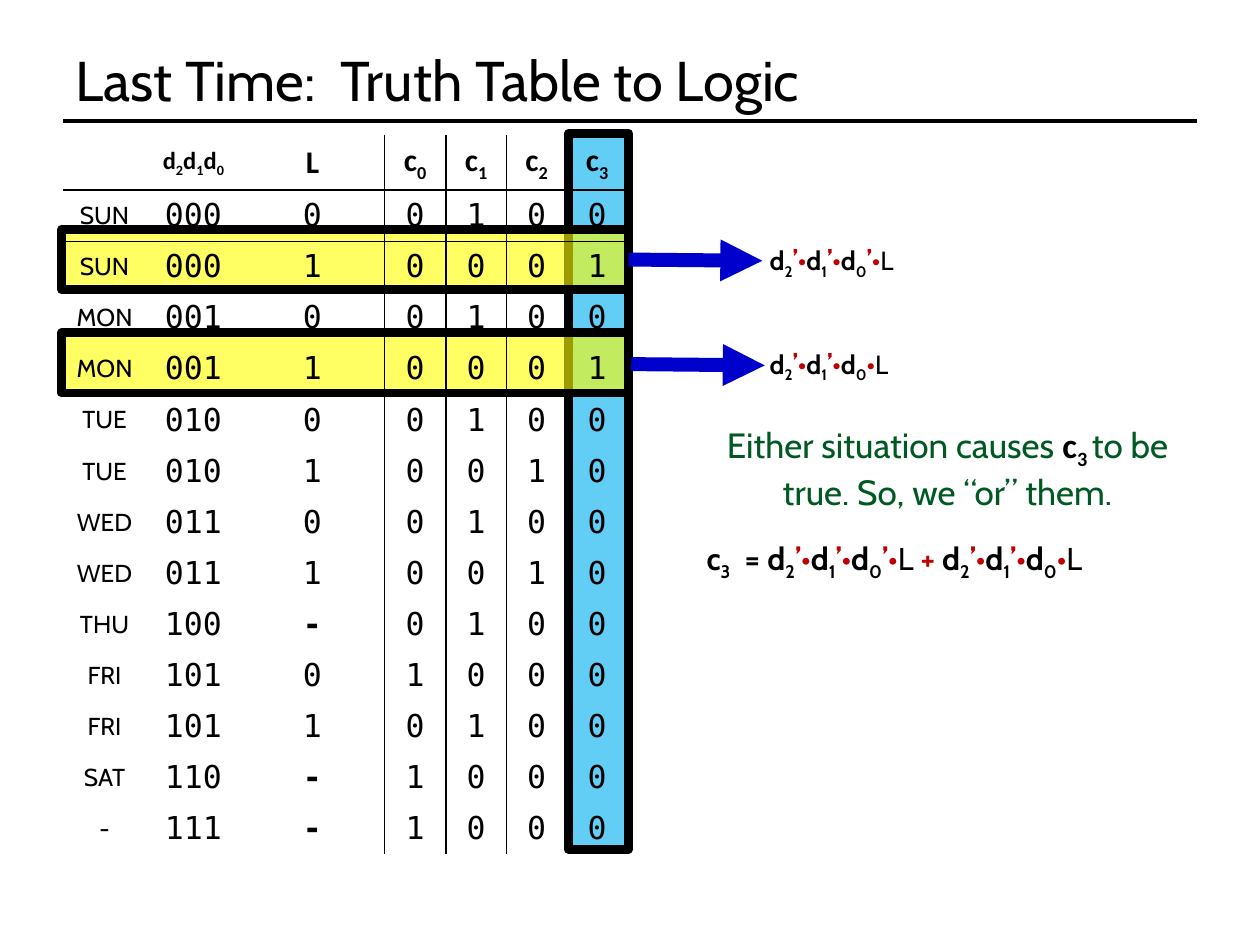
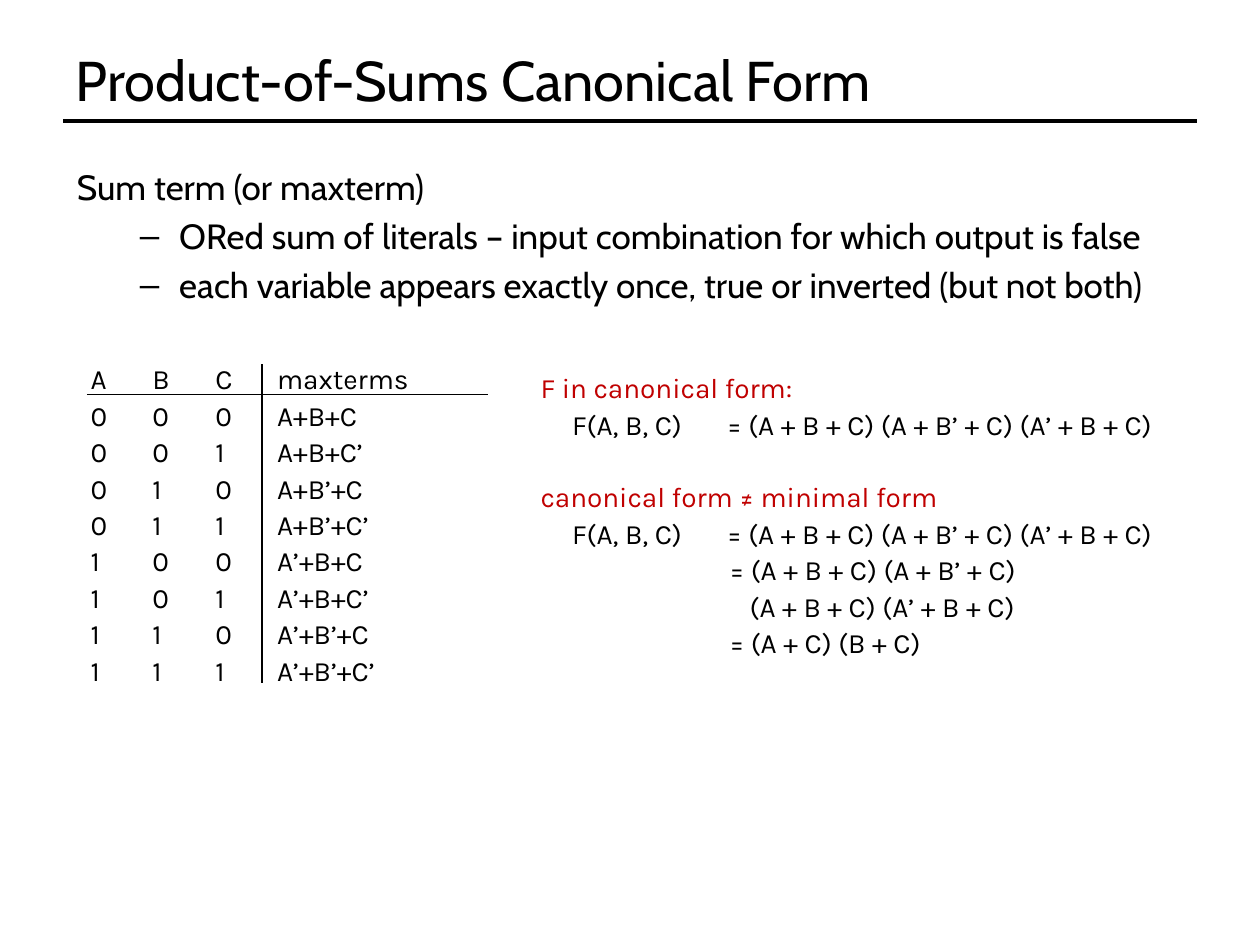
from itertools import groupby

from lxml import etree
from pptx import Presentation
from pptx.dml.color import RGBColor
from pptx.enum.shapes import MSO_CONNECTOR, MSO_SHAPE
from pptx.enum.text import MSO_ANCHOR, MSO_AUTO_SIZE, PP_ALIGN
from pptx.oxml.ns import qn
from pptx.util import Inches, Pt

STRAIGHT = MSO_CONNECTOR.STRAIGHT
RECTANGLE = MSO_SHAPE.RECTANGLE
MIDDLE, TOP = MSO_ANCHOR.MIDDLE, MSO_ANCHOR.TOP
LEFT, CENTER = PP_ALIGN.LEFT, PP_ALIGN.CENTER
NO_AUTOFIT = MSO_AUTO_SIZE.NONE

BLACK = RGBColor(0x00, 0x00, 0x00)
RED = RGBColor(0xC0, 0x00, 0x00)
GREEN = RGBColor(0x00, 0x59, 0x23)
ARROW_BLUE = RGBColor(0x00, 0x00, 0xCC)
COLUMN_BLUE = RGBColor(0x00, 0xB0, 0xF0)
ROW_YELLOW = RGBColor(0xFF, 0xFF, 0x00)
TEXT_FONT, HEADER_FONT, DIGIT_FONT, ALGEBRA_FONT = "Cabin", "Calibri", "DejaVu Sans Mono", "Karla"
NO_STYLE_NO_GRID = "{2D5ABB26-0587-4C30-8999-92F81FD0307C}"


def add_run(paragraph, text, size, font=TEXT_FONT, colour=BLACK, bold=False, subscript=False):
    run = paragraph.add_run()
    run.text = text
    run.font.size = Pt(size)
    run.font.name = font
    run.font.color.rgb = colour
    run.font.bold = bold
    if subscript:
        run.font._element.set("baseline", "-25000")


def add_line(slide, x1, y1, x2, y2, width, colour=BLACK, arrow=False):
    line = slide.shapes.add_connector(STRAIGHT, Inches(x1), Inches(y1), Inches(x2), Inches(y2))
    line.line.width = Pt(width)
    line.line.color.rgb = colour
    if arrow:
        etree.SubElement(line.line._get_or_add_ln(), qn("a:tailEnd"), type="triangle")
    etree.SubElement(line._element.spPr, qn("a:effectLst"))


presentation = Presentation()
presentation.slide_width, presentation.slide_height = Inches(10), Inches(7.5)
TITLE_ONLY, TITLE_AND_BODY = presentation.slide_layouts[5], presentation.slide_layouts[1]

# Titles and the rule below them
slides = []
for layout, title_text in [
    (TITLE_ONLY, "Last Time:  Truth Table to Logic"),
    (TITLE_AND_BODY, "Product-of-Sums Canonical Form"),
]:
    slide = presentation.slides.add_slide(layout)
    slides.append(slide)
    add_line(slide, 0.5, 0.96, 9.5, 0.96, 2)
    title = slide.shapes.title
    title.left, title.top, title.width, title.height = Inches(0.5), Inches(0.3), Inches(9), Inches(0.66)
    title.text_frame.auto_size = NO_AUTOFIT
    title.text_frame.vertical_anchor = MIDDLE
    title.text_frame.paragraphs[0].alignment = LEFT
    add_run(title.text_frame.paragraphs[0], title_text, 32)
logic_slide, sums_slide = slides

# Slide 1: highlighted column and rows behind the truth table
for left, top, width, height, colour in [
    (4.51, 1.06, 0.48, 5.68, COLUMN_BLUE),
    (0.49, 1.82, 4.5, 0.48, ROW_YELLOW),
    (0.49, 2.64, 4.5, 0.48, ROW_YELLOW),
]:
    highlight = logic_slide.shapes.add_shape(
        RECTANGLE, Inches(left), Inches(top), Inches(width), Inches(height))
    highlight.shadow.inherit = False
    highlight.fill.solid()
    highlight.fill.fore_color.rgb = colour
    colour_element = highlight._element.spPr.find(qn("a:solidFill"))[0]
    etree.SubElement(colour_element, qn("a:alpha"), val="61000")
    highlight.line.color.rgb = BLACK
    highlight.line.width = Pt(5)

# Slide 1: truth table
HEADINGS = ["", "d2d1d0", "L", "c0", "c1", "c2", "c3"]
TRUTH_ROWS = [
    "SUN 000 0 0 1 0 0",
    "SUN 000 1 0 0 0 1",
    "MON 001 0 0 1 0 0",
    "MON 001 1 0 0 0 1",
    "TUE 010 0 0 1 0 0",
    "TUE 010 1 0 0 1 0",
    "WED 011 0 0 1 0 0",
    "WED 011 1 0 0 1 0",
    "THU 100 - 0 1 0 0",
    "FRI 101 0 1 0 0 0",
    "FRI 101 1 0 1 0 0",
    "SAT 110 - 1 0 0 0",
    "- 111 - 1 0 0 0",
]
COLUMN_WIDTHS = [0.66, 0.75, 1.14, 0.49, 0.48, 0.48, 0.48]
rows = [HEADINGS] + [row.split() for row in TRUTH_ROWS]
table = logic_slide.shapes.add_table(
    len(rows), len(HEADINGS), Inches(0.5), Inches(1.07), Inches(4.49), Inches(5.68)).table
table.first_row = table.horz_banding = False
table._tbl.tblPr.find(qn("a:tableStyleId")).text = NO_STYLE_NO_GRID
for column, width in zip(table.columns, COLUMN_WIDTHS):
    column.width = Inches(width)

for row_index, row in enumerate(rows):
    for column_index, text in enumerate(row):
        cell = table.cell(row_index, column_index)
        cell.vertical_anchor = MIDDLE
        cell.margin_left = cell.margin_right = Inches(0.05)
        paragraph = cell.text_frame.paragraphs[0]
        paragraph.alignment = CENTER
        if row_index == 0:
            size = 14 if column_index == 1 else 18
            for character in text:
                add_run(paragraph, character, size, HEADER_FONT, bold=True,
                        subscript=character.isdigit())
        elif column_index == 0:
            add_run(paragraph, text, 14)
        else:
            add_run(paragraph, text, 18, DIGIT_FONT, bold=text == "-")

        # Lines around the c0 column and the first row of values
        borders = {
            "a:lnL": column_index in (3, 4),
            "a:lnR": column_index in (2, 3),
            "a:lnT": row_index in (1, 2),
            "a:lnB": row_index in (0, 1),
        }
        for tag, visible in borders.items():
            if visible:
                border = etree.SubElement(cell._tc.get_or_add_tcPr(), qn(tag), w=str(Pt(1)))
                border_fill = etree.SubElement(border, qn("a:solidFill"))
                etree.SubElement(border_fill, qn("a:srgbClr"), val=str(BLACK))
        cell.fill.background()

# Slide 1: arrows from the true rows to their product terms
add_line(logic_slide, 4.99, 2.06, 6.05, 2.07, 8, ARROW_BLUE, arrow=True)
add_line(logic_slide, 5.01, 2.89, 6.07, 2.9, 8, ARROW_BLUE, arrow=True)

# Slide 1: formulas, with (colour, bold, subscript) chosen by character
LETTER_STYLE = (BLACK, True, False)
CHARACTER_STYLES = {
    "’": (RED, True, False),
    "+": (RED, True, False),
    "•": (RED, False, False),
    "L": (BLACK, False, False),
    **{digit: (BLACK, True, True) for digit in "0123"},
}
SUNDAY_TERM, MONDAY_TERM = "d2’•d1’•d0’•L", "d2’•d1’•d0•L"
for left, top, formula, letter_size, mark_size in [
    (6.01, 1.88, SUNDAY_TERM, 15, 16),
    (6.01, 2.7, MONDAY_TERM, 15, 16),
    (5.51, 4.23, f"c3  = {SUNDAY_TERM} + {MONDAY_TERM}", 18, 18),
]:
    formula_box = logic_slide.shapes.add_textbox(Inches(left), Inches(top), Inches(3.99), Inches(0.36))
    formula_box.text_frame.word_wrap = True
    paragraph = formula_box.text_frame.paragraphs[0]
    for style, characters in groupby(formula, lambda c: CHARACTER_STYLES.get(c, LETTER_STYLE)):
        colour, bold, subscript = style
        size = mark_size if colour == RED else letter_size
        add_run(paragraph, "".join(characters), size, TEXT_FONT, colour, bold, subscript)

# Slide 1: explanation
explanation = logic_slide.shapes.add_textbox(Inches(5.38), Inches(3.31), Inches(4.28), Inches(0.77))
explanation.text_frame.word_wrap = True
paragraph = explanation.text_frame.paragraphs[0]
paragraph.alignment = CENTER
add_run(paragraph, "Either situation causes ", 20, colour=GREEN)
add_run(paragraph, "c", 20, HEADER_FONT, bold=True)
add_run(paragraph, "3 ", 20, HEADER_FONT, bold=True, subscript=True)
add_run(paragraph, "to be true. So, we “or” them.", 20, colour=GREEN)

# Slide 2: definition list
body = sums_slide.placeholders[1]
body.left, body.top, body.width, body.height = Inches(0.51), Inches(1.26), Inches(9.2), Inches(4.88)
body.text_frame.auto_size = NO_AUTOFIT
body.text_frame.vertical_anchor = TOP
for index, text in enumerate([
    "Sum term (or maxterm)",
    "ORed sum of literals – input combination for which output is false",
    "each variable appears exactly once, true or inverted (but not both)",
]):
    if index == 0:
        paragraph = body.text_frame.paragraphs[0]
        properties = paragraph._p.get_or_add_pPr()
        properties.set("marL", "0")
        properties.set("indent", "0")
        etree.SubElement(properties, qn("a:buNone"))
    else:
        paragraph = body.text_frame.add_paragraph()
        paragraph.level = 1
    add_run(paragraph, text, 20)

# Slide 2: lines of the maxterm table
add_line(sums_slide, 0.69, 3.13, 3.87, 3.13, 1)
add_line(sums_slide, 2.08, 2.89, 2.08, 5.42, 1)

# Slide 2: maxterm rows and derivation, as (text, colour, indent, space before)
LINE_PITCH = 20.8
maxterm_lines = [("A\tB\tC\tmaxterms", BLACK, 0, 0)]
for number in range(8):
    bits = f"{number:03b}"
    maxterm = "+".join(name + "’" * int(bit) for name, bit in zip("ABC", bits))
    maxterm_lines.append(("\t".join([*bits, maxterm]), BLACK, 0, 0))

CANONICAL_FORM = "\tF(A, B, C)\t= (A + B + C) (A + B’ + C) (A’ + B + C)"
derivation_lines = [
    ("F in canonical form:", RED, 0, 0),
    (CANONICAL_FORM, BLACK, 0, 0),
    ("canonical form ≠ minimal form", RED, 0, LINE_PITCH),
    (CANONICAL_FORM, BLACK, 0, 0),
    ("= (A + B + C) (A + B’ + C)", BLACK, 1.5, 0),
    ("(A + B + C) (A’ + B + C)", BLACK, 1.66, 0),
    ("= (A + C) (B + C)", BLACK, 1.5, 0),
]

for left, top, width, height, tab_stops, lines in [
    (0.7, 2.82, 3.56, 2.73, [0.49, 0.99, 1.48], maxterm_lines),
    (4.27, 2.89, 5.55, 3.02, [0.25, 1.48], derivation_lines),
]:
    algebra_box = sums_slide.shapes.add_textbox(Inches(left), Inches(top), Inches(width), Inches(height))
    text_frame = algebra_box.text_frame
    text_frame.word_wrap = True
    text_frame.margin_left = text_frame.margin_right = Inches(0.02)
    text_frame.margin_top = text_frame.margin_bottom = Inches(0.03)
    for index, (text, colour, indent, space_before) in enumerate(lines):
        paragraph = text_frame.add_paragraph() if index else text_frame.paragraphs[0]
        paragraph.line_spacing = Pt(LINE_PITCH)
        paragraph.space_before = Pt(space_before)
        properties = paragraph._p.get_or_add_pPr()
        properties.set("marL", str(Inches(indent)))
        tab_list = etree.SubElement(properties, qn("a:tabLst"))
        for stop in tab_stops:
            etree.SubElement(tab_list, qn("a:tab"), pos=str(Inches(stop)), algn="l")
        add_run(paragraph, text, 16, ALGEBRA_FONT, colour)

presentation.save("out.pptx")
